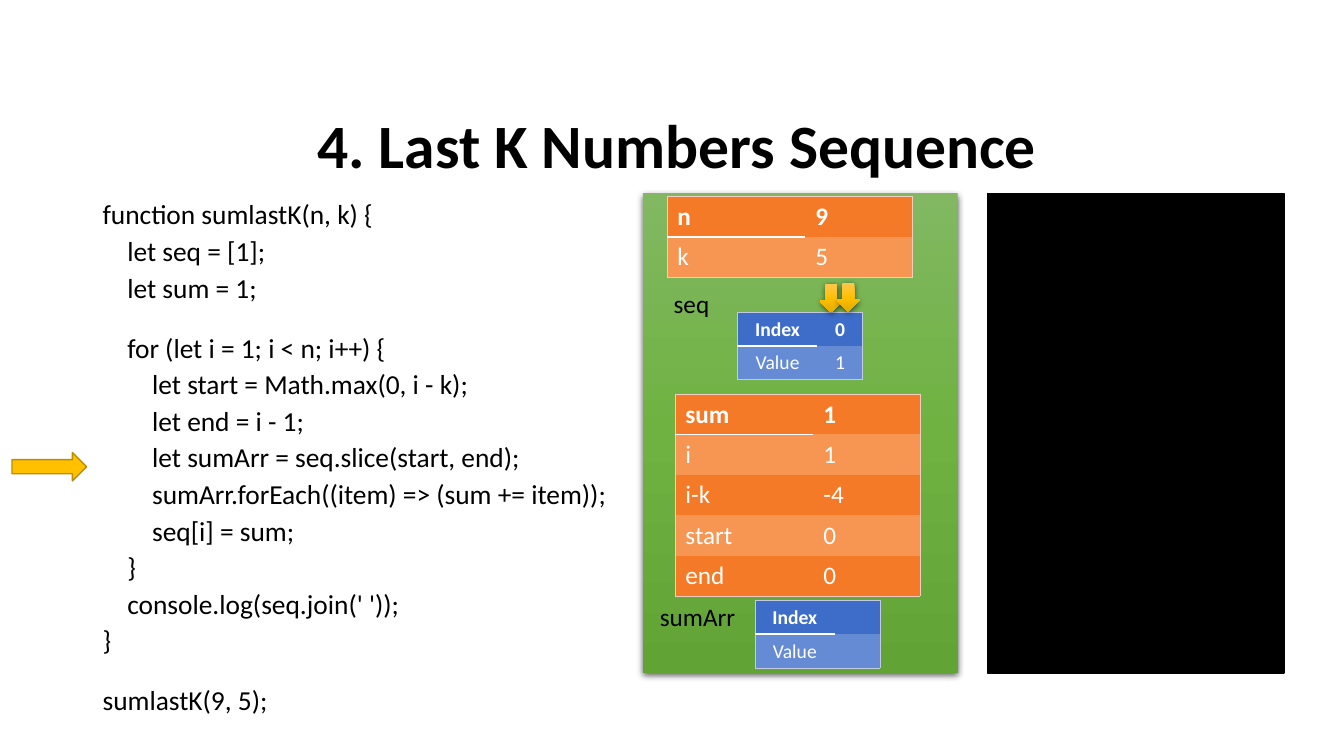
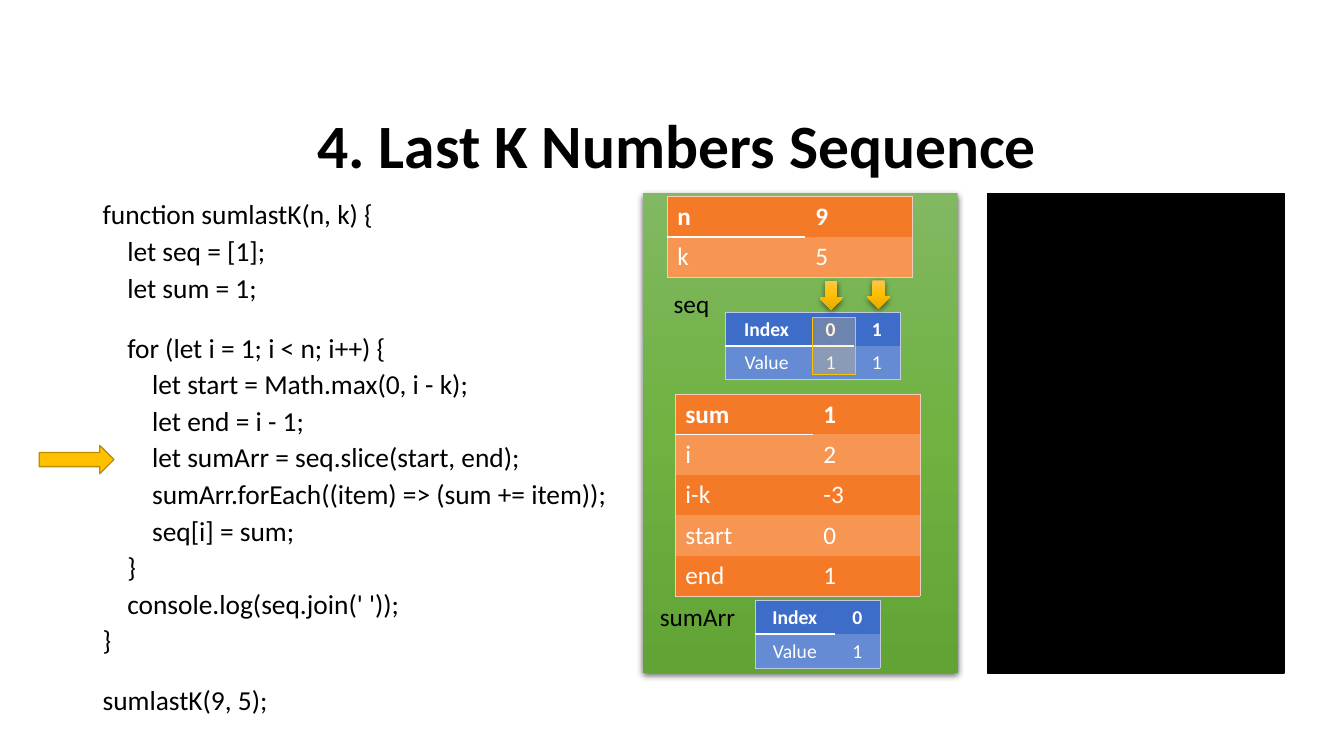
from copy import deepcopy
from dataclasses import dataclass
from typing import Any

from lxml import etree
from pptx import Presentation, slide as sl, util as u
from pptx.dml.color import RGBColor
from pptx.enum import shapes, text
from pptx.oxml.ns import qn

Pt = u.Pt
FONT = "Calibri"
BLACK = RGBColor(0, 0, 0)
WHITE = RGBColor(0xFF, 0xFF, 0xFF)
GOLD = RGBColor(0xFF, 0xC0, 0x00)
BROWN = RGBColor(0xBD, 0x8E, 0x00)
SAND = RGBColor(0xFF, 0xCC, 0x66)
GREENS = (RGBColor(0x81, 0xB8, 0x61), RGBColor(0x6F, 0xB2, 0x42), RGBColor(0x62, 0xA3, 0x36))
GOLDS = (RGBColor(0xFF, 0xC6, 0x4B), GOLD, RGBColor(0xE3, 0xAB, 0x00))

KIND = shapes.MSO_SHAPE
LEFT, MID = text.PP_ALIGN.LEFT, text.PP_ALIGN.CENTER
PLAIN = "{2D5ABB26-0587-4C30-8999-92F81FD0307C}"
TITLE = "4. Last K Numbers Sequence"
STEP = 17.7
GAP = 9.7
BLANK = 16.75


@dataclass(frozen=True)
class Box:
    x: float
    y: float
    w: float
    h: float

    def pts(self) -> tuple[u.Length, ...]:
        return Pt(self.x), Pt(self.y), Pt(self.w), Pt(self.h)


@dataclass(frozen=True)
class Look:
    dark: RGBColor
    light: RGBColor
    edge: RGBColor
    size: float
    high: float
    align: Any


@dataclass(frozen=True)
class Line:
    text: str
    level: int = 0
    blank: bool = False


@dataclass(frozen=True)
class Grid:
    x: float
    y: float
    cols: tuple[float, ...]
    rows: tuple[tuple[str, ...], ...]
    look: Look


@dataclass(frozen=True)
class State:
    hand: tuple[float, float]
    marks: tuple[tuple[float, float], ...]
    seq: Grid
    vals: tuple[str, ...]
    sliced: str
    focus: Box | None = None


WARM = Look(RGBColor(0xF5, 0x7A, 0x27), RGBColor(0xF7, 0x95, 0x52),
            RGBColor(0xF6, 0xCC, 0xBE), 18, 28.8, LEFT)
COOL = Look(RGBColor(0x3D, 0x6D, 0xC8), RGBColor(0x64, 0x8B, 0xD3),
            RGBColor(0xC1, 0xC9, 0xE4), 14, 24, MID)
WIDE = (98.6, 76.3)
SLIM = (56.9, 32.4)
NAMES = ("sum", "i", "i-k", "start", "end")

HEAD = Box(66.2, 28.8, 828, 104.4)
BODY = Box(66.2, 144, 416.9, 389.5)
PANEL = Box(459.4, 138.2, 224.6, 342.7)
SCREEN = Box(705.6, 138.2, 211.7, 342.7)
LABELS = (("seq", Box(402.5, 202.3, 182.9, 28.8)),
          ("sumArr", Box(406.8, 426.2, 182.9, 28.8)))
ARGS = Grid(476.6, 140.4, WIDE, (("n", "9"), ("k", "5")), WARM)

CODE = (
    Line("function sumlastK(n, k) {"),
    Line("let seq = [1];", 1),
    Line("let sum = 1;", 1),
    Line("for (let i = 1; i < n; i++) {", 1, True),
    Line("let start = Math.max(0, i - k);", 2),
    Line("let end = i - 1;", 2),
    Line("let sumArr = seq.slice(start, end);", 2),
    Line("sumArr.forEach((item) => (sum += item));", 2),
    Line("seq[i] = sum;", 2),
    Line("}", 1),
    Line("console.log(seq.join(' '));", 1),
    Line("}"),
    Line("sumlastK(9, 5);", 0, True),
)

STATES = (
    State((8.6, 323.3), ((585.4, 203), (597.6, 202.3)),
          Grid(527, 223.2, SLIM, (("Index", "0"), ("Value", "1")), COOL),
          ("1", "1", "-4", "0", "0"), ""),
    State((28.1, 318.2), ((585.4, 200.9), (619.2, 200.2)),
          Grid(518.4, 223.2, (58.3, 33.1, 33.1),
               (("Index", "0", "1"), ("Value", "1", "1")), COOL),
          ("1", "2", "-3", "0", "1"), "0", Box(580.3, 226.8, 31, 41)),
)


def write(para: Any, words: str, *, size: float, color: RGBColor = BLACK, bold: bool = False,
          align: Any = LEFT, lead: float = 1, before: float = 0, inset: float = 0) -> None:
    para.alignment = align
    para.line_spacing = lead
    para.space_before = Pt(before)
    if inset:
        para._p.get_or_add_pPr().set("marL", str(Pt(inset)))
    if not words:
        etree.SubElement(para._p, qn("a:endParaRPr"), sz=str(int(size * 100)))
        return
    run = para.add_run()
    run.text = words
    font = run.font
    font.name, font.size, font.bold = FONT, Pt(size), bold
    font.color.rgb = color


def frame(page: sl.Slide, box: Box) -> Any:
    area = page.shapes.add_textbox(*box.pts()).text_frame
    area.word_wrap = True
    return area


def draw(page: sl.Slide, kind: Any, box: Box, *, fill: RGBColor, line: RGBColor,
         width: float = 1, alpha: int = 100) -> None:
    item = page.shapes.add_shape(kind, *box.pts())
    item.shadow.inherit = False
    item.fill.solid()
    item.fill.fore_color.rgb = fill
    if alpha < 100:
        tint = item._element.spPr.find(qn("a:solidFill"))[0]
        etree.SubElement(tint, qn("a:alpha"), val=str(alpha * 1000))
    item.line.color.rgb = line
    item.line.width = Pt(width)


def glow(page: sl.Slide, kind: Any, box: Box, tones: tuple[RGBColor, ...]) -> None:
    item = page.shapes.add_shape(kind, *box.pts())
    item.line.fill.background()
    item.fill.gradient()
    item.fill.gradient_angle = 270
    props = item._element.spPr
    stops = props.find(".//" + qn("a:gsLst"))
    stops.append(deepcopy(stops[0]))
    for k, (stop, tone) in enumerate(zip(item.fill.gradient_stops, tones)):
        stop.position = k / 2
        stop.color.rgb = tone
    item.shadow.inherit = False
    shade = etree.SubElement(props.find(qn("a:effectLst")), qn("a:outerShdw"),
                             blurRad=str(Pt(4.5)), dist=str(Pt(1.5)), dir="5400000",
                             algn="ctr", rotWithShape="0")
    tint = etree.SubElement(shade, qn("a:srgbClr"), val=str(BLACK))
    etree.SubElement(tint, qn("a:alpha"), val="63000")


def edge(cell: Any, side: str, color: RGBColor, width: float) -> None:
    rule = etree.SubElement(cell._tc.get_or_add_tcPr(), qn("a:ln" + side), w=str(Pt(width)))
    fill = etree.SubElement(rule, qn("a:solidFill"))
    etree.SubElement(fill, qn("a:srgbClr"), val=str(color))


def table(page: sl.Slide, grid: Grid) -> None:
    look, rows, cols = grid.look, len(grid.rows), len(grid.cols)
    box = Box(grid.x, grid.y, sum(grid.cols), look.high * rows)
    tab = page.shapes.add_table(rows, cols, *box.pts()).table
    tab._tbl.tblPr.find(qn("a:tableStyleId")).text = PLAIN
    tab.first_row = tab.horz_banding = False
    for col, width in zip(tab.columns, grid.cols):
        col.width = Pt(width)
    for r, row in enumerate(grid.rows):
        tab.rows[r].height = Pt(look.high)
        for c, words in enumerate(row):
            cell = tab.cell(r, c)
            outer = {"L": c == 0, "R": c == cols - 1, "T": r == 0, "B": r == rows - 1}
            for side, shown in outer.items():
                if shown:
                    edge(cell, side, look.edge, 0.5)
            if r == 0 and c < cols - 1:
                edge(cell, "B", WHITE, 1.5)
            cell.fill.solid()
            cell.fill.fore_color.rgb = look.light if r % 2 else look.dark
            write(cell.text_frame.paragraphs[0], words, size=look.size, color=WHITE,
                  bold=r == 0, align=look.align)


def title(page: sl.Slide) -> None:
    head = page.shapes.title
    head.left, head.top, head.width, head.height = HEAD.pts()
    area = head.text_frame
    area.vertical_anchor = text.MSO_ANCHOR.BOTTOM
    area.margin_left = Pt(14.4)
    write(area.paragraphs[0], TITLE, size=44, bold=True, align=MID, lead=0.9)


def code(page: sl.Slide) -> None:
    area = frame(page, BODY)
    for k, line in enumerate(CODE):
        para = area.add_paragraph() if k else area.paragraphs[0]
        write(para, line.text, size=19.6, lead=0.7, inset=line.level * STEP,
              before=GAP + BLANK * line.blank)


def build(page: sl.Slide, state: State) -> None:
    title(page)
    glow(page, KIND.RECTANGLE, PANEL, GREENS)
    code(page)
    draw(page, KIND.RIGHT_ARROW, Box(*state.hand, 53.3, 20.2), fill=GOLD, line=BROWN)
    draw(page, KIND.RECTANGLE, SCREEN, fill=BLACK, line=BLACK)
    for words, box in LABELS:
        write(frame(page, box).paragraphs[0], words, size=18, align=MID)
    vals = Grid(482.4, 281.5, WIDE, tuple(zip(NAMES, state.vals)), WARM)
    sliced = Grid(539.3, 429.1, SLIM,
                  (("Index", state.sliced), ("Value", "1" if state.sliced else "")), COOL)
    for grid in (state.seq, ARGS, vals, sliced):
        table(page, grid)
    for mark in state.marks:
        glow(page, KIND.DOWN_ARROW, Box(*mark, 16.6, 20.2), GOLDS)
    if state.focus:
        draw(page, KIND.RECTANGLE, state.focus, fill=SAND, line=GOLD, width=0.5, alpha=25)


def main() -> None:
    deck = Presentation()
    deck.slide_width, deck.slide_height = Pt(960), Pt(540)
    for state in STATES:
        build(deck.slides.add_slide(deck.slide_layouts[5]), state)
    deck.save("out.pptx")


if __name__ == "__main__":
    main()
